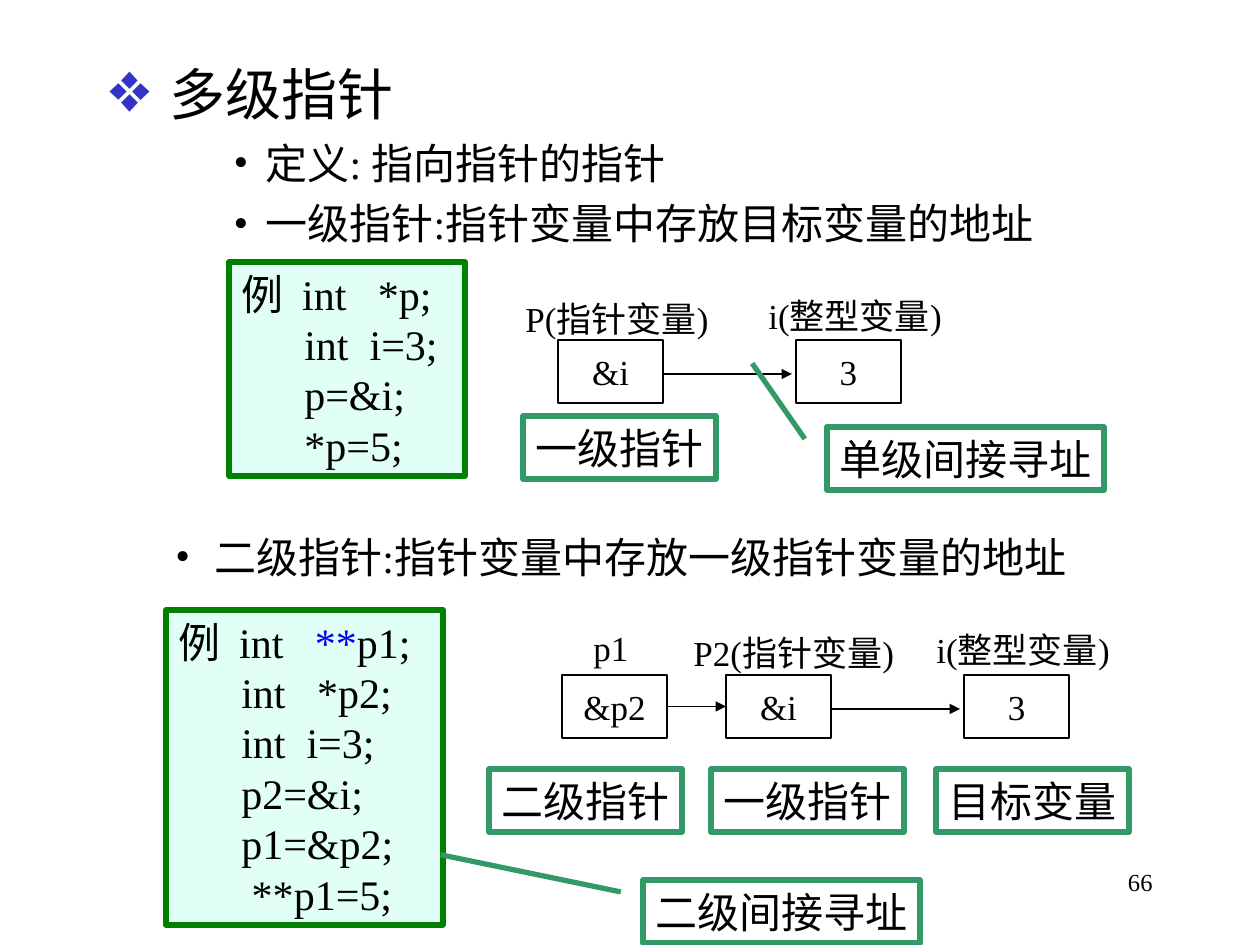
"""Build the slide on multi-level pointers."""
from lxml.etree import SubElement
from pptx import Presentation
from pptx.dml.color import RGBColor
from pptx.enum.shapes import MSO_CONNECTOR, MSO_SHAPE
from pptx.enum.text import MSO_ANCHOR, MSO_AUTO_SIZE, PP_ALIGN
from pptx.oxml.ns import qn
from pptx.util import Emu, Pt

FONT = "Times New Roman"
BLACK, WHITE, GREEN, MINT, TEAL, BLUE = "000000", "FFFFFF", "008000", "E1FFF7", "339966", "0000FF"
rgb = RGBColor.from_string
LEFT, CENTER, RIGHT = PP_ALIGN.LEFT, PP_ALIGN.CENTER, PP_ALIGN.RIGHT


def px(n):
    return Emu(round(n * 914400 / 126))


def box(text, x, y, w, h, size, align=LEFT, fill=None, line=None, width=0.75, shape=MSO_SHAPE.RECTANGLE):
    if line:
        sp = s.shapes.add_shape(shape, px(x), px(y), px(w), px(h))
        sp.shadow.inherit = False
        sp.line.color.rgb = rgb(line)
        sp.line.width = Pt(width)
        if fill:
            sp.fill.solid()
            sp.fill.fore_color.rgb = rgb(fill)
        else:
            sp.fill.background()
    else:
        sp = s.shapes.add_textbox(px(x), px(y), px(w), px(h))
    tf = sp.text_frame
    tf.word_wrap = False
    tf.auto_size = MSO_AUTO_SIZE.NONE
    tf.vertical_anchor = MSO_ANCHOR.MIDDLE if align == CENTER else MSO_ANCHOR.TOP
    tf.text = text
    for p in tf.paragraphs:
        p.alignment = align
        for r in p.runs:
            r.font.name = FONT
            r.font.size = Pt(size)
            r.font.color.rgb = rgb(BLACK)
    return sp


prs = Presentation()
prs.slide_width, prs.slide_height = px(1260), px(945)
s = prs.slides.add_slide(prs.slide_layouts[1])
title = s.shapes.title
title.element.getparent().remove(title.element)

body = s.placeholders[1]
body.left, body.top, body.width, body.height = px(95), px(53), px(1071), px(788)
body.text_frame.auto_size = MSO_AUTO_SIZE.NONE
body.text_frame.text = "多级指针\n定义: 指向指针的指针\n一级指针:指针变量中存放目标变量的地址"
second = box("二级指针:指针变量中存放一级指针变量的地址", 67, 525, 1062, 63, 24)
second.text_frame.word_wrap = True

paragraphs = [*body.text_frame.paragraphs, *second.text_frame.paragraphs]
styles = [
    (0, 32, 62, -62, 0, "❖", "3333CC"),
    (2, 24, 158, -32, 6, "•", BLACK),
    (2, 24, 158, -32, 6, "•", BLACK),
    (2, 24, 135, -39, 0, "•", BLACK),
]
for p, (level, size, margin, indent, before, char, color) in zip(paragraphs, styles):
    p.level = level
    p.space_before = Pt(before)
    pPr = p._p.get_or_add_pPr()
    pPr.set("marL", str(px(margin)))
    pPr.set("indent", str(px(indent)))
    SubElement(SubElement(pPr, qn("a:buClr")), qn("a:srgbClr"), val=color)
    SubElement(pPr, qn("a:buFont"), typeface=FONT)
    SubElement(pPr, qn("a:buChar"), char=char)
    for r in p.runs:
        r.font.name = FONT
        r.font.size = Pt(size)
        r.font.color.rgb = rgb(BLACK)

box("例  int   *p;\n      int  i=3;\n      p=&i;\n      *p=5;", 229, 262, 236, 214, 24, LEFT, MINT, GREEN, 3)
code = box(
    "例  int  \n      int   *p2;\n      int  i=3;\n      p2=&i;\n      p1=&p2;\n       **p1=5;",
    166, 610, 277, 315, 24, LEFT, MINT, GREEN, 3,
)
for text, color in [(" **", BLUE), ("p1;", BLACK)]:
    r = code.text_frame.paragraphs[0].add_run()
    r.text = text
    r.font.name = FONT
    r.font.size = Pt(24)
    r.font.color.rgb = rgb(color)

for text, x, y, w in [
    ("P(指针变量)", 513, 291, 224),
    ("i(整型变量)", 756, 288, 215),
    ("p1", 581, 620, 60),
    ("P2(指针变量)", 681, 625, 242),
    ("i(整型变量)", 924, 622, 215),
]:
    box(text, x, y, w, 55, 20)

cells = [
    box(text, x, y, 105, 63, 20, CENTER, None, BLACK)
    for text, x, y in [("&i", 558, 340), ("3", 796, 340), ("&p2", 562, 675), ("&i", 726, 675), ("3", 964, 675)]
]

arrows = []
for x1, x2, y in [(664, 792, 374), (667, 726, 707), (832, 960, 709)]:
    cxn = s.shapes.add_connector(MSO_CONNECTOR.STRAIGHT, px(x1), px(y), px(x2), px(y))
    cxn.line.color.rgb = rgb(BLACK)
    cxn.line.width = Pt(0.75)
    SubElement(cxn.line._get_or_add_ln(), qn("a:tailEnd"), type="triangle")
    SubElement(cxn._element.spPr, qn("a:effectLst"))
    arrows.append(cxn)
arrows[1].begin_connect(cells[2], 3)
arrows[1].end_connect(cells[3], 1)

for text, x, y in [("一级指针", 523, 416), ("二级指针", 489, 769), ("一级指针", 711, 769), ("目标变量", 936, 769)]:
    box(text, x, y, 193, 63, 24, CENTER, WHITE, TEAL, 3)

for text, x, y, end_y, end_x in [("单级间接寻址", 827, 427, -1.01, -0.27), ("二级间接寻址", 643, 880, -0.4, -0.73)]:
    sp = box(text, x, y, 277, 63, 24, CENTER, WHITE, TEAL, 3, MSO_SHAPE.LINE_CALLOUT_1)
    for i, value in enumerate([0.19, -0.08, end_y, end_x]):
        sp.adjustments[i] = value

number = box("66", 903, 861, 262, 63, 14, RIGHT)
number.text_frame.word_wrap = True

prs.save("out.pptx")
